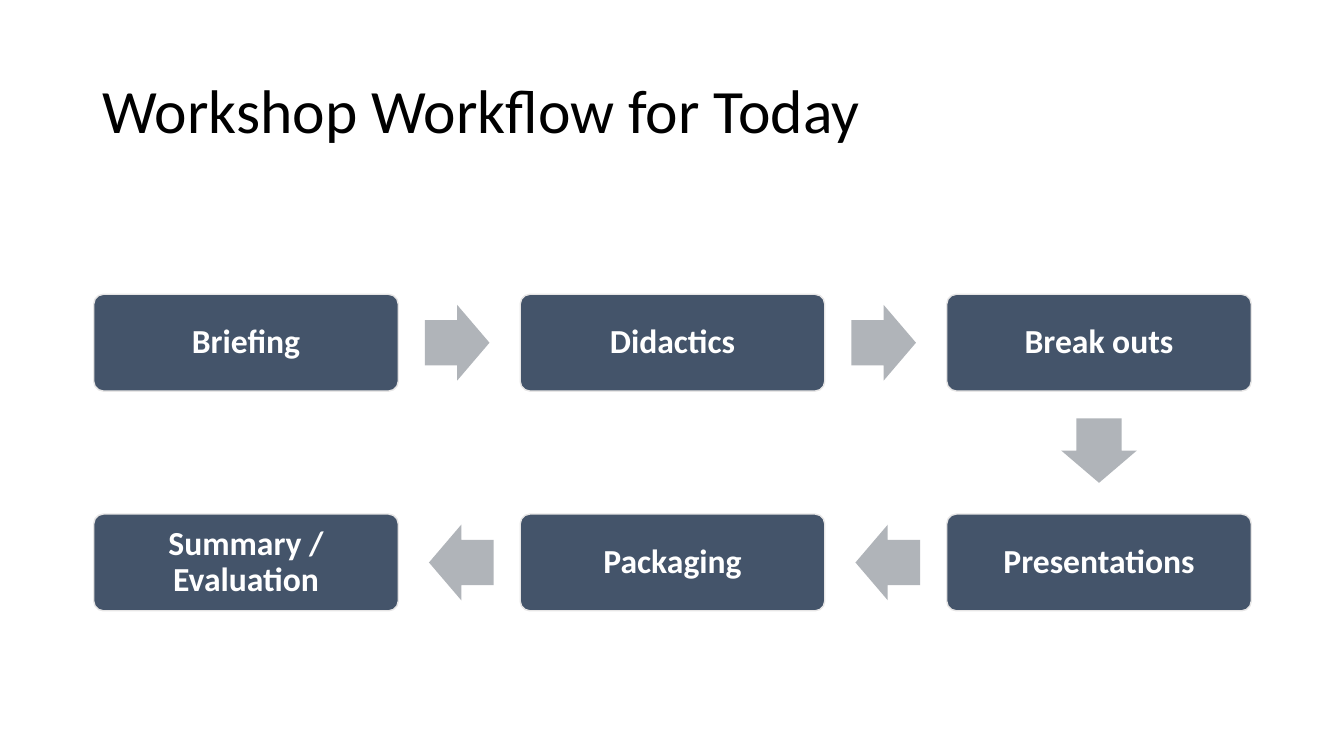
from dataclasses import dataclass
from math import atan2, cos, degrees, sin

from pptx import Presentation
from pptx.dml.color import RGBColor
from pptx.enum.shapes import MSO_SHAPE
from pptx.enum.text import MSO_ANCHOR, PP_ALIGN
from pptx.shapes.autoshape import Shape
from pptx.slide import Slide
from pptx.util import Inches, Pt


@dataclass(frozen=True)
class Theme:
    font: str = "Calibri"
    title_size: int = 44
    step_size: int = 24
    title_color: str = "000000"
    step_color: str = "FFFFFF"
    step_fill: str = "44546A"
    step_line: str = "E7E6E6"
    arrow_fill: str = "B0B4B9"


@dataclass(frozen=True)
class Grid:
    left: float = 0.93
    top: float = 2.92
    column_pitch: float = 4.23
    row_pitch: float = 2.18
    step_width: float = 3.02
    step_height: float = 0.96
    arrow_length: float = 0.64
    arrow_width: float = 0.75
    arrow_setback: float = 0.02


@dataclass(frozen=True)
class Step:
    label: str
    column: int
    row: int

    def center(self) -> tuple[float, float]:
        return (
            GRID.left + self.column * GRID.column_pitch + GRID.step_width / 2,
            GRID.top + self.row * GRID.row_pitch + GRID.step_height / 2,
        )


THEME = Theme()
GRID = Grid()
STEPS = (
    Step("Briefing", 0, 0),
    Step("Didactics", 1, 0),
    Step("Break outs", 2, 0),
    Step("Presentations", 2, 1),
    Step("Packaging", 1, 1),
    Step("Summary / Evaluation", 0, 1),
)


def apply(target: object, values: dict[str, object]) -> None:
    for name, value in values.items():
        setattr(target, name, value)


def write(box: Shape, text: str, size: int, color: str, bold: bool, align: PP_ALIGN) -> None:
    frame = box.text_frame
    apply(frame, {"word_wrap": True, "vertical_anchor": MSO_ANCHOR.MIDDLE})
    para = frame.paragraphs[0]
    apply(para, {"alignment": align, "line_spacing": 0.9})
    span = para.add_run()
    span.text = text
    apply(span.font, {"name": THEME.font, "size": Pt(size), "bold": bold})
    span.font.color.rgb = RGBColor.from_string(color)


def add_centered(
    page: Slide, kind: MSO_SHAPE, center: tuple[float, float], width: float, height: float, fill: str
) -> Shape:
    shape = page.shapes.add_shape(
        kind,
        Inches(center[0] - width / 2),
        Inches(center[1] - height / 2),
        Inches(width),
        Inches(height),
    )
    shape.shadow.inherit = False
    shape.fill.solid()
    shape.fill.fore_color.rgb = RGBColor.from_string(fill)
    return shape


def add_step(page: Slide, step: Step) -> None:
    box = add_centered(
        page, MSO_SHAPE.ROUNDED_RECTANGLE, step.center(), GRID.step_width, GRID.step_height, THEME.step_fill
    )
    box.adjustments[0] = 0.1
    box.line.color.rgb = RGBColor.from_string(THEME.step_line)
    box.line.width = Pt(1)
    sides = ("left", "top", "right", "bottom")
    apply(box.text_frame, {f"margin_{side}": Inches(0.1) for side in sides})
    write(box, step.label, THEME.step_size, THEME.step_color, True, PP_ALIGN.CENTER)


def add_arrow(page: Slide, start: Step, end: Step) -> None:
    (start_x, start_y), (end_x, end_y) = start.center(), end.center()
    angle = atan2(end_y - start_y, end_x - start_x)
    center = (
        (start_x + end_x) / 2 - GRID.arrow_setback * cos(angle),
        (start_y + end_y) / 2 - GRID.arrow_setback * sin(angle),
    )
    arrow = add_centered(
        page, MSO_SHAPE.RIGHT_ARROW, center, GRID.arrow_length, GRID.arrow_width, THEME.arrow_fill
    )
    arrow.adjustments[0] = 0.6
    arrow.adjustments[1] = 0.5
    arrow.rotation = round(degrees(angle))
    arrow.line.fill.background()


def add_title(page: Slide, text: str) -> None:
    box = page.shapes.add_textbox(Inches(0.92), Inches(0.4), Inches(11.5), Inches(1.45))
    write(box, text, THEME.title_size, THEME.title_color, False, PP_ALIGN.LEFT)


def main() -> None:
    deck = Presentation()
    apply(deck, {"slide_width": Inches(13.33), "slide_height": Inches(7.5)})
    page = deck.slides.add_slide(deck.slide_layouts[6])
    add_title(page, "Workshop Workflow for Today")
    for step in STEPS:
        add_step(page, step)
    for start, end in zip(STEPS, STEPS[1:]):
        add_arrow(page, start, end)
    deck.save("out.pptx")


if __name__ == "__main__":
    main()
